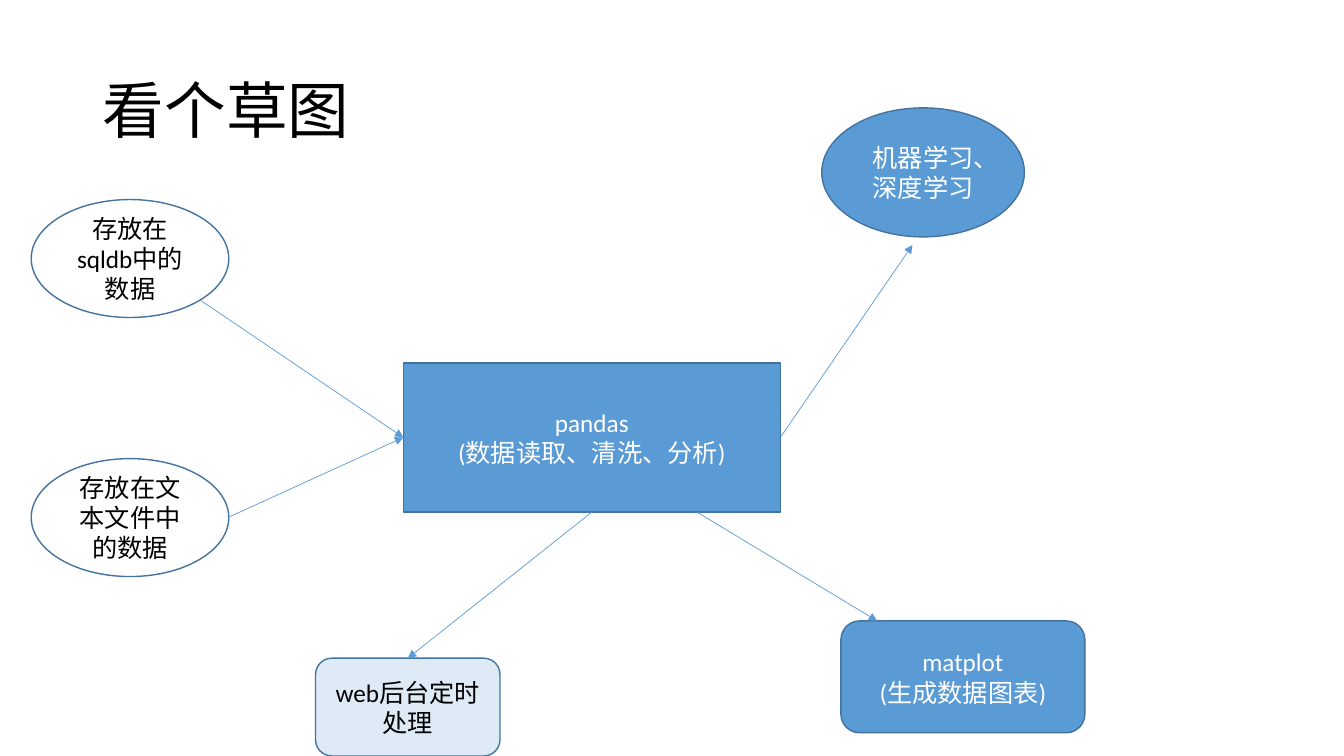
"""Build the sketch slide of a pandas data flow."""
from dataclasses import dataclass
from typing import Any, Optional

from lxml.etree import SubElement
from pptx import Presentation
from pptx.dml.color import RGBColor
from pptx.enum.shapes import MSO_CONNECTOR, MSO_SHAPE
from pptx.enum.text import MSO_ANCHOR, PP_ALIGN
from pptx.oxml.ns import qn
from pptx.util import Inches, Pt

BLACK = RGBColor(0x00, 0x00, 0x00)
WHITE = RGBColor(0xFF, 0xFF, 0xFF)
BLUE = RGBColor(0x5B, 0x9B, 0xD5)
PALE_BLUE = RGBColor(0xDE, 0xEB, 0xF7)
OUTLINE = RGBColor(0x43, 0x73, 0x9E)

TOP, LEFT, BOTTOM, RIGHT = range(4)
Point = tuple[float, float]


@dataclass
class Node:
    name: str
    kind: MSO_SHAPE
    place: tuple[float, float, float, float]
    lines: list[str]
    fill: RGBColor
    color: RGBColor


@dataclass
class Arrow:
    start: Point
    end: Point
    start_joint: Optional[tuple[str, int]] = None
    end_joint: Optional[tuple[str, int]] = None


NODES = [
    Node("database", MSO_SHAPE.OVAL, (0.31, 1.98, 1.96, 1.17), ["存放在sqldb中的数据"], WHITE, BLACK),
    Node("files", MSO_SHAPE.OVAL, (0.31, 4.55, 1.96, 1.17), ["存放在文本文件中的数据"], WHITE, BLACK),
    Node("pandas", MSO_SHAPE.RECTANGLE, (4, 3.6, 3.74, 1.48),
         ["pandas", "(数据读取、清洗、分析)"], BLUE, WHITE),
    Node("learning", MSO_SHAPE.OVAL, (8.15, 1.07, 2.01, 1.28), ["机器学习、深度学习"], BLUE, WHITE),
    Node("matplot", MSO_SHAPE.ROUNDED_RECTANGLE, (8.34, 6.16, 2.42, 1.11),
         ["matplot", "(生成数据图表)"], BLUE, WHITE),
    Node("web", MSO_SHAPE.ROUNDED_RECTANGLE, (3.13, 6.53, 1.83, 0.97),
         ["web后台定时处理"], PALE_BLUE, BLACK),
]

ARROWS = [
    Arrow((1.99, 2.98), (4, 4.34), end_joint=("pandas", LEFT)),
    Arrow((2.27, 5.13), (4, 4.34), end_joint=("pandas", LEFT)),
    Arrow((7.74, 4.34), (9.05, 2.43), start_joint=("pandas", RIGHT)),
    Arrow((6.78, 5), (8.7, 6.16)),
    Arrow((5.87, 5.08), (4.05, 6.53), ("pandas", BOTTOM), ("web", TOP)),
]


def set_format(target: Any, values: dict[str, Any]) -> None:
    """Set every named attribute on the target."""
    for name, value in values.items():
        setattr(target, name, value)


def write_lines(box: Any, lines: list[str], align: PP_ALIGN, spacing: float,
                size: int, color: RGBColor) -> None:
    """Fill the box with one formatted paragraph per line."""
    frame = box.text_frame
    set_format(frame, {"word_wrap": True, "vertical_anchor": MSO_ANCHOR.MIDDLE})
    frame.text = "\n".join(lines)
    for para in frame.paragraphs:
        set_format(para, {"alignment": align, "line_spacing": spacing})
        for span in para.runs:
            set_format(span.font, {"size": Pt(size), "name": "Calibri"})
            span.font.color.rgb = color


def draw_title(page: Any, text: str) -> None:
    """Move and fill the title placeholder."""
    title = page.shapes.title
    set_format(title, {"left": Inches(0.92), "top": Inches(0.4),
                       "width": Inches(11.5), "height": Inches(1.45)})
    write_lines(title, [text], PP_ALIGN.LEFT, 0.9, 44, BLACK)


def draw_node(page: Any, node: Node) -> Any:
    """Draw one labelled shape and return it."""
    box = page.shapes.add_shape(node.kind, *map(Inches, node.place))
    box.shadow.inherit = False
    box.fill.solid()
    box.fill.fore_color.rgb = node.fill
    box.line.color.rgb = OUTLINE
    box.line.width = Pt(1)
    write_lines(box, node.lines, PP_ALIGN.CENTER, 1.0, 18, node.color)
    return box


def draw_arrow(page: Any, arrow: Arrow, boxes: dict[str, Any]) -> None:
    """Draw one arrow and join it to the boxes it names."""
    connector = page.shapes.add_connector(
        MSO_CONNECTOR.STRAIGHT, *map(Inches, arrow.start + arrow.end))
    if arrow.start_joint:
        name, side = arrow.start_joint
        connector.begin_connect(boxes[name], side)
    if arrow.end_joint:
        name, side = arrow.end_joint
        connector.end_connect(boxes[name], side)
    connector.line.color.rgb = BLUE
    connector.line.width = Pt(0.5)
    properties = connector.element.spPr
    SubElement(properties.find(qn("a:ln")), qn("a:tailEnd"), type="triangle")
    SubElement(properties, qn("a:effectLst"))


def main() -> None:
    """Build and save the deck."""
    deck = Presentation()
    set_format(deck, {"slide_width": Inches(13.33), "slide_height": Inches(7.5)})
    page = deck.slides.add_slide(deck.slide_layouts.get_by_name("Title Only"))
    draw_title(page, "看个草图")
    boxes = {node.name: draw_node(page, node) for node in NODES}
    for arrow in ARROWS:
        draw_arrow(page, arrow, boxes)
    deck.save("out.pptx")


if __name__ == "__main__":
    main()
